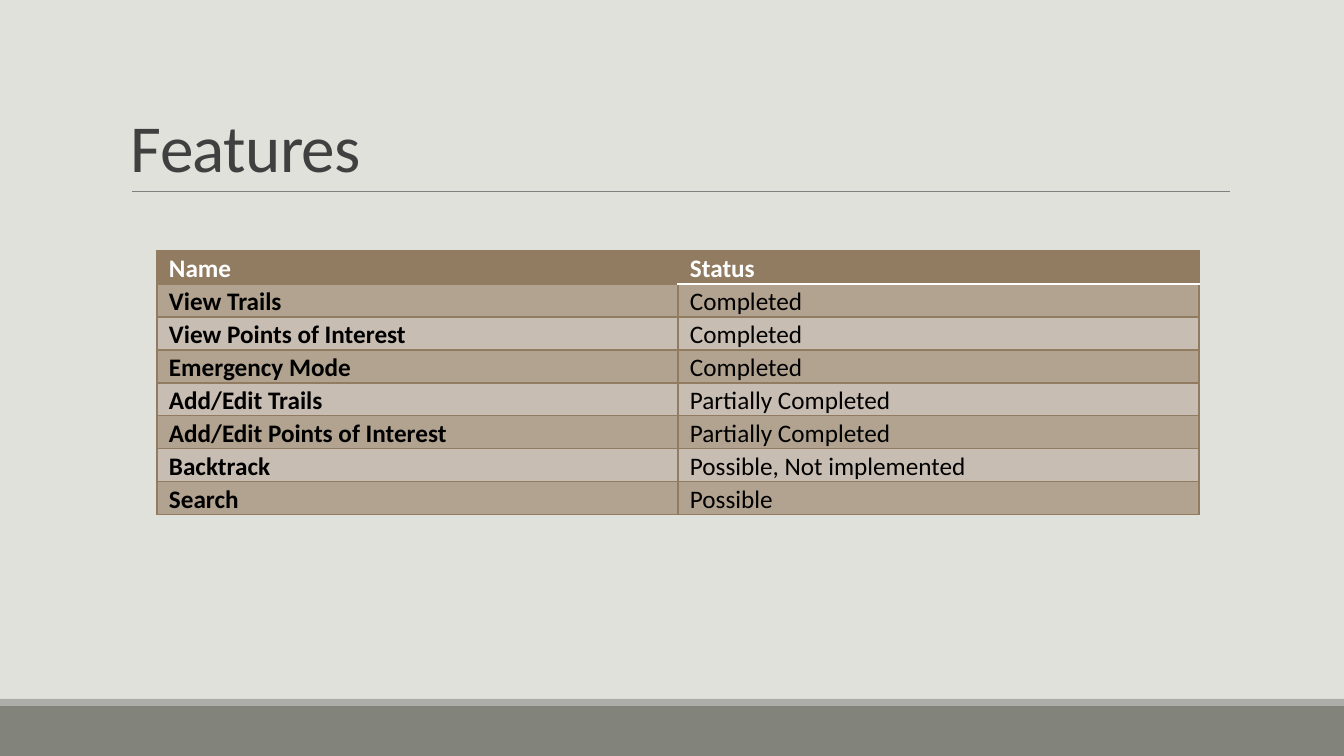
from dataclasses import dataclass
from lxml.etree import SubElement
from pptx import Presentation
from pptx.dml.color import RGBColor as Color
from pptx.enum.shapes import MSO_CONNECTOR as Connector, MSO_SHAPE as Preset
from pptx.enum.text import MSO_ANCHOR as Anchor
from pptx.oxml.ns import qn
from pptx.util import Pt

TITLE = "Features"
FEATURES = [
    ("Name", "Status"),
    ("View Trails", "Completed"),
    ("View Points of Interest", "Completed"),
    ("Emergency Mode", "Completed"),
    ("Add/Edit Trails", "Partially Completed"),
    ("Add/Edit Points of Interest", "Partially Completed"),
    ("Backtrack", "Possible, Not implemented"),
    ("Search", "Possible"),
]


@dataclass(frozen=True)
class Theme:
    font: str = "Calibri"
    background: str = "E1E1DB"
    footer: str = "82847C"
    footer_edge: str = "ACADA8"
    rule: str = "808080"
    title: str = "404040"
    header: str = "927C61"
    bands: tuple = ("C8BDB2", "B1A390")
    header_text: str = "FFFFFF"
    body_text: str = "000000"
    title_size: int = 48
    table_size: int = 18


theme = Theme()
WIDTH, HEIGHT = 1344, 756
FOOTER_TOP, FOOTER_EDGE = 706, 7
TABLE_LEFT, TABLE_TOP, COLUMN_WIDTH, ROW_HEIGHT = 157, 251, 521, 33
CELL_INSET = 12


def px(length):
    return round(length * 914400 / 100.8)


def color(code):
    return Color.from_string(code)


def style(paragraph, size, code, spacing, bold=False):
    paragraph.line_spacing = spacing
    font = paragraph.font
    font.name, font.size, font.bold = theme.font, Pt(size), bold
    font.color.rgb = color(code)


def add_bar(top, height, code):
    bar = slide.shapes.add_shape(Preset.RECTANGLE, 0, px(top), px(WIDTH), px(height))
    bar.shadow.inherit = False
    bar.fill.solid()
    bar.fill.fore_color.rgb = color(code)
    bar.line.fill.background()


def add_border(cell, side, code, points):
    line = SubElement(cell._tc.get_or_add_tcPr(), qn(f"a:ln{side}"), w=str(Pt(points)))
    SubElement(SubElement(line, qn("a:solidFill")), qn("a:srgbClr"), val=code)


def style_cell(cell, row, column):
    white_side = {0: "B", 1: "T"}.get(row) if column == 1 else None
    for side in "LRTB":
        if side == white_side:
            add_border(cell, side, theme.header_text, 1.25)
        else:
            add_border(cell, side, theme.header, 1)
    cell.fill.solid()
    cell.fill.fore_color.rgb = color(theme.bands[row % 2] if row else theme.header)
    cell.margin_left = cell.margin_right = px(CELL_INSET)
    cell.margin_top = cell.margin_bottom = 0
    style(cell.text_frame.paragraphs[0], theme.table_size,
          theme.body_text if row else theme.header_text, 1.07,
          bold=row == 0 or column == 0)


presentation = Presentation()
presentation.slide_width, presentation.slide_height = px(WIDTH), px(HEIGHT)
slide = presentation.slides.add_slide(presentation.slide_layouts[6])
slide.background.fill.solid()
slide.background.fill.fore_color.rgb = color(theme.background)

add_bar(FOOTER_TOP, HEIGHT - FOOTER_TOP, theme.footer)
add_bar(FOOTER_TOP - FOOTER_EDGE, FOOTER_EDGE, theme.footer_edge)

rule = slide.shapes.add_connector(Connector.STRAIGHT, px(132), px(191), px(1230), px(191))
rule.line.color.rgb = color(theme.rule)
rule.line.width = Pt(0.5)
SubElement(rule._element.spPr, qn("a:effectLst"))

title_frame = slide.shapes.add_textbox(px(121), px(31), px(1109), px(160)).text_frame
title_frame.word_wrap = True
title_frame.vertical_anchor = Anchor.BOTTOM
title = title_frame.paragraphs[0]
title.text = TITLE
style(title, theme.title_size, theme.title, 0.85)
title.runs[0].font._element.set("spc", "-50")

columns = len(FEATURES[0])
table = slide.shapes.add_table(
    len(FEATURES), columns, px(TABLE_LEFT), px(TABLE_TOP),
    px(COLUMN_WIDTH * columns), px(ROW_HEIGHT * len(FEATURES))).table
table.first_row = table.horz_banding = False
for row, feature in enumerate(FEATURES):
    for column, text in enumerate(feature):
        cell = table.cell(row, column)
        cell.text = text
        style_cell(cell, row, column)

presentation.save("out.pptx")
